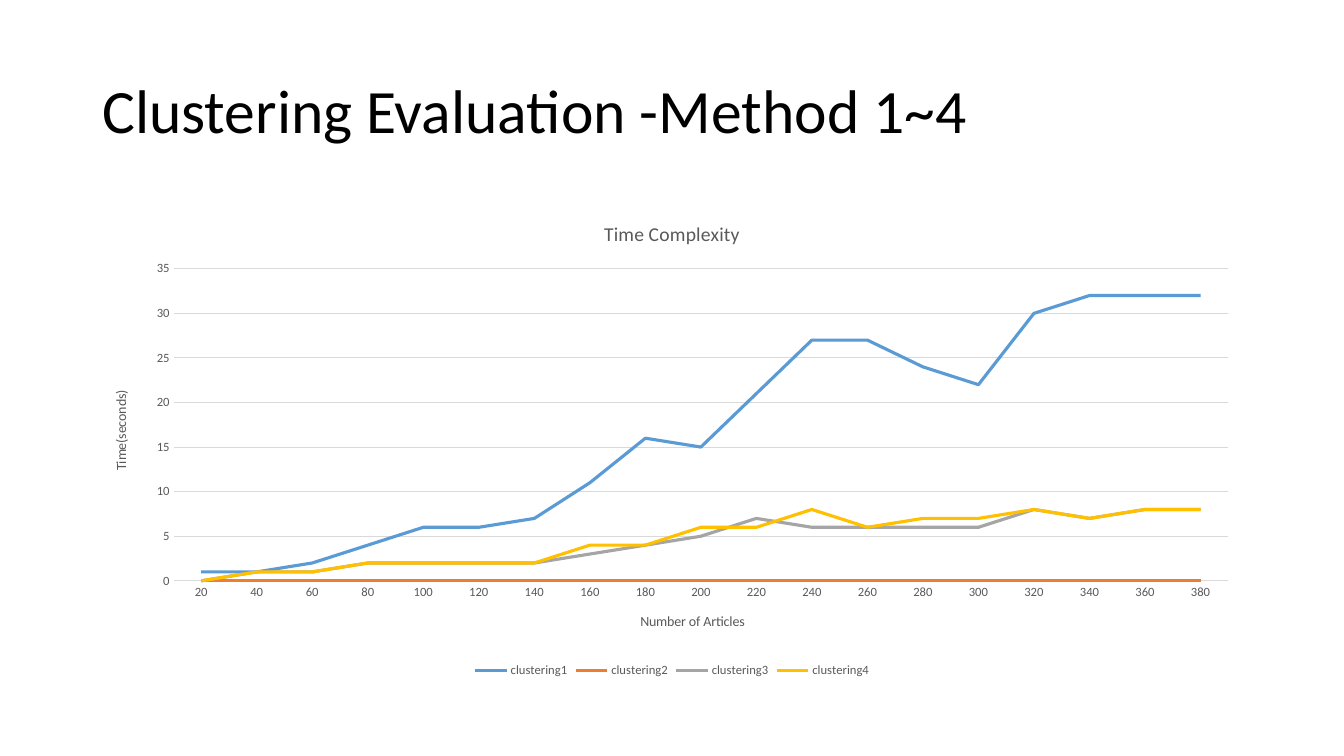
from lxml import etree
from pptx import Presentation
from pptx.chart.data import CategoryChartData
from pptx.dml.color import RGBColor
from pptx.enum.chart import XL_CHART_TYPE as ChartType, XL_LEGEND_POSITION as LegendPosition
from pptx.enum.chart import XL_TICK_MARK as TickMark
from pptx.enum.text import MSO_ANCHOR as Anchor
from pptx.oxml.ns import qn
from pptx.util import Pt

FONT = "Calibri"
BLACK = RGBColor(0x00, 0x00, 0x00)
GRAY_TEXT = RGBColor(0x59, 0x59, 0x59)
GRID_GRAY = RGBColor(0xD9, 0xD9, 0xD9)
BLUE = RGBColor(0x5B, 0x9B, 0xD5)
ORANGE = RGBColor(0xED, 0x7D, 0x31)
GRAY = RGBColor(0xA5, 0xA5, 0xA5)
GOLD = RGBColor(0xFF, 0xC0, 0x00)

TITLE = "Clustering Evaluation -Method 1~4"
CHART_TITLE = "Time Complexity"
ARTICLES_TITLE = "Number of Articles"
SECONDS_TITLE = "Time(seconds)"
ARTICLE_COUNTS = [str(count) for count in range(20, 381, 20)]
SERIES = [
    ("clustering1", BLUE, [1, 1, 2, 4, 6, 6, 7, 11, 16, 15, 21, 27, 27, 24, 22, 30, 32, 32, 32]),
    ("clustering2", ORANGE, [0] * len(ARTICLE_COUNTS)),
    ("clustering3", GRAY, [0, 1, 1, 2, 2, 2, 2, 3, 4, 5, 7, 6, 6, 6, 6, 8, 7, 8, 8]),
    ("clustering4", GOLD, [0, 1, 1, 2, 2, 2, 2, 4, 4, 6, 6, 8, 6, 7, 7, 8, 7, 8, 8]),
]
PLOT_LAYOUT = [("layoutTarget", "inner"), ("xMode", "edge"), ("yMode", "edge"),
               ("x", 0.07), ("y", 0.14), ("w", 0.91), ("h", 0.65)]
LEFT, WIDTH = Pt(66), Pt(828)


def style_font(font, size, color=GRAY_TEXT):
    font.name = FONT
    font.size = Pt(size)
    font.bold = False
    font.color.rgb = color


def set_title(owner, text, size):
    text_frame = owner.text_frame
    text_frame.text = text
    style_font(text_frame.paragraphs[0].runs[0].font, size)


def set_line(line, color, width):
    line.color.rgb = color
    line.width = Pt(width)


def add_title(slide):
    shape = slide.shapes.add_textbox(LEFT, Pt(28.75), WIDTH, Pt(104.4))
    text_frame = shape.text_frame
    text_frame.word_wrap = True
    text_frame.vertical_anchor = Anchor.MIDDLE
    text_frame.text = TITLE
    paragraph = text_frame.paragraphs[0]
    paragraph.line_spacing = 0.9
    style_font(paragraph.runs[0].font, 44, BLACK)


def place_plot(chart):
    plot_area = chart.plots[0]._element.getparent()
    for old_layout in plot_area.findall(qn("c:layout")):
        plot_area.remove(old_layout)
    layout = etree.Element(qn("c:layout"))
    manual = etree.SubElement(layout, qn("c:manualLayout"))
    for name, value in PLOT_LAYOUT:
        etree.SubElement(manual, qn("c:" + name)).set("val", str(value))
    plot_area.insert(0, layout)


def add_time_chart(slide):
    data = CategoryChartData()
    data.categories = ARTICLE_COUNTS
    for name, _, seconds in SERIES:
        data.add_series(name, seconds)
    chart = slide.shapes.add_chart(ChartType.LINE, LEFT, Pt(144), WIDTH, Pt(343), data).chart
    style_font(chart.font, 10, BLACK)
    chart.has_title = True
    set_title(chart.chart_title, CHART_TITLE, 14)
    chart.chart_title.include_in_layout = False

    chart.has_legend = True
    chart.legend.position = LegendPosition.BOTTOM
    chart.legend.include_in_layout = False
    style_font(chart.legend.font, 9)

    articles_axis, seconds_axis = chart.category_axis, chart.value_axis
    for axis, text in ((articles_axis, ARTICLES_TITLE), (seconds_axis, SECONDS_TITLE)):
        axis.has_title = True
        set_title(axis.axis_title, text, 10)
        axis.major_tick_mark = axis.minor_tick_mark = TickMark.NONE
        style_font(axis.tick_labels.font, 9)
    set_line(articles_axis.format.line, GRID_GRAY, 0.75)
    seconds_axis.format.line.fill.background()
    seconds_axis.minimum_scale, seconds_axis.maximum_scale = 0, 35
    seconds_axis.major_unit = 5
    seconds_axis.has_major_gridlines = True
    set_line(seconds_axis.major_gridlines.format.line, GRID_GRAY, 0.75)

    plot = chart.plots[0]
    plot.vary_by_categories = False
    for series, (_, color, _) in zip(plot.series, SERIES):
        series.smooth = False
        set_line(series.format.line, color, 2.25)
    place_plot(chart)


def main():
    presentation = Presentation()
    presentation.slide_width, presentation.slide_height = Pt(960), Pt(540)
    slide = presentation.slides.add_slide(presentation.slide_layouts[6])
    add_title(slide)
    add_time_chart(slide)
    presentation.save("out.pptx")


if __name__ == "__main__":
    main()
